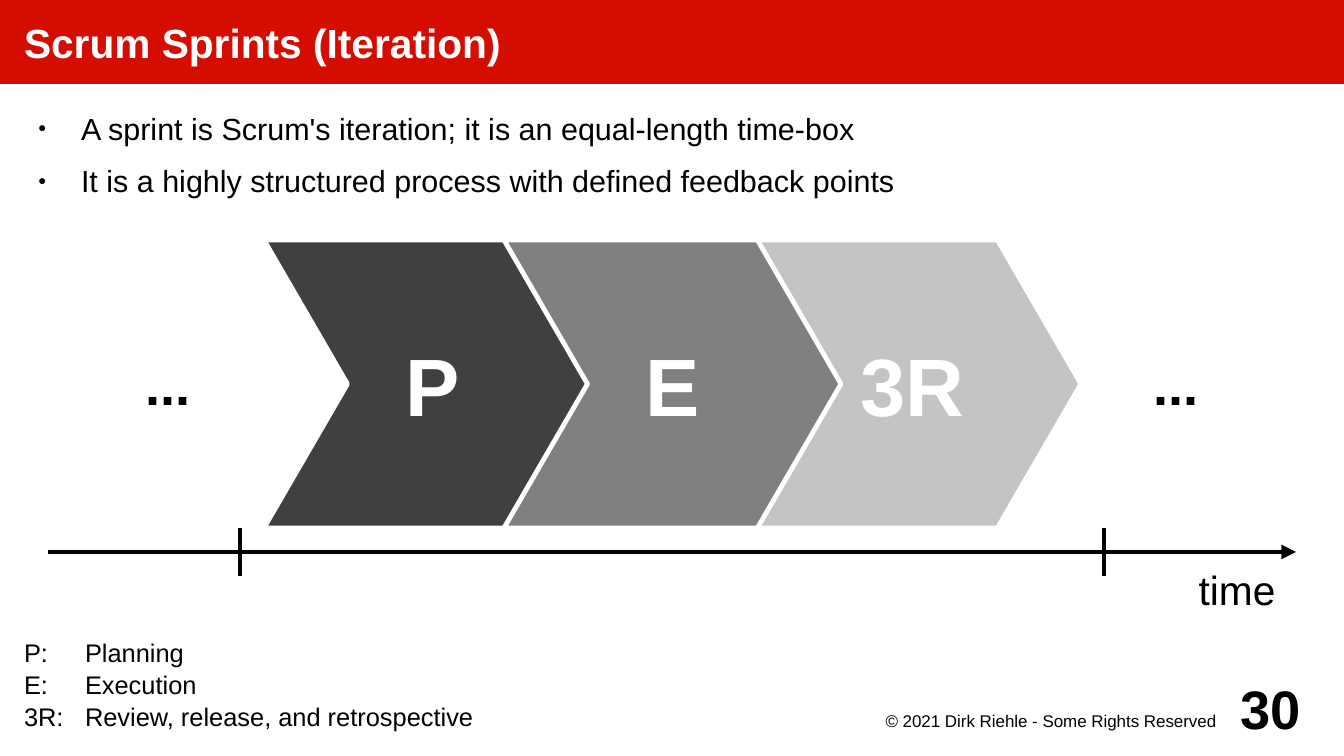
from dataclasses import dataclass, field
from typing import Any

from lxml import etree
from pptx import Presentation
from pptx.dml.color import RGBColor
from pptx.enum.shapes import MSO_CONNECTOR, MSO_SHAPE
from pptx.enum.text import MSO_ANCHOR, MSO_AUTO_SIZE, PP_ALIGN
from pptx.oxml.ns import qn
from pptx.util import Pt

LEFT, CENTER, RIGHT = PP_ALIGN.LEFT, PP_ALIGN.CENTER, PP_ALIGN.RIGHT
TOP, MIDDLE, BOTTOM = MSO_ANCHOR.TOP, MSO_ANCHOR.MIDDLE, MSO_ANCHOR.BOTTOM
NO_FIT = MSO_AUTO_SIZE.NONE
CHEVRON = MSO_SHAPE.CHEVRON
STRAIGHT = MSO_CONNECTOR.STRAIGHT

EMU_PER_PX = 7495
FONT = "Arial"
BLACK, WHITE, RED = "000000", "FFFFFF", "D50D01"
SPRINT_TOP, SPRINT_HEIGHT = 240, 288
PHASE_LEFT, PHASE_STEP, PHASE_WIDTH = 264, 240, 337
AXIS_Y, TICK_HALF = 552, 24


@dataclass
class Style:
    size: int
    color: str = BLACK
    bold: bool = False
    align: Any = LEFT
    anchor: Any = MIDDLE
    inset: tuple[int, int, int, int] = (10, 10, 10, 10)
    wrap: bool = True
    paragraph: dict[str, Any] = field(default_factory=dict)


@dataclass
class Label:
    box: tuple[int, int, int, int]
    lines: list[str]
    style: Style


@dataclass
class Phase:
    name: str
    slot: int
    fill: str


@dataclass
class Segment:
    start: tuple[int, int]
    end: tuple[int, int]
    arrow: bool = False


TITLE = Label((0, 0, 1344, 84), ["Scrum Sprints (Iteration)"],
              Style(24, WHITE, True, inset=(24, 0, 0, 0)))
BODY = Label(
    (24, 108, 1296, 552),
    ["A sprint is Scrum's iteration; it is an equal-length time-box",
     "It is a highly structured process with defined feedback points"],
    Style(18, anchor=TOP, inset=(0, 0, 0, 0),
          paragraph={"line_spacing": 1.05, "space_after": Pt(4.2)}))

PHASE_STYLE = Style(48, WHITE, True, CENTER, wrap=False)
DOTS_STYLE = Style(32, bold=True, align=CENTER)
PHASES = [Phase("P", 0, "404040"), Phase("3R", 2, "C4C4C4"), Phase("E", 1, "808080")]

LABELS = [
    Label((0, 516, 960, 240),
          ["P:\tPlanning", "E:\tExecution", "3R:\tReview, release, and retrospective"],
          Style(15, anchor=BOTTOM, inset=(24, 24, 24, 24),
                paragraph={"line_spacing": 1.05})),
    *[Label((x, SPRINT_TOP, 240, SPRINT_HEIGHT), ["..."], DOTS_STYLE) for x in (48, 1056)],
    Label((1178, 554, 118, 71), ["time"], Style(24, align=CENTER)),
    Label((865, 709, 361, 37), ["© 2021 Dirk Riehle - Some Rights Reserved"],
          Style(10, align=RIGHT, anchor=TOP, inset=(0, 2, 10, 0))),
    Label((1205, 672, 96, 72), ["30"],
          Style(32, bold=True, align=RIGHT, inset=(0, 0, 0, 0))),
]
SEGMENTS = [
    Segment((48, AXIS_Y), (1296, AXIS_Y), arrow=True),
    *[Segment((x, AXIS_Y - TICK_HALF), (x, AXIS_Y + TICK_HALF)) for x in (240, 1104)],
]


def px(*values: int) -> list[int]:
    return [value * EMU_PER_PX for value in values]


def rgb(value: str) -> RGBColor:
    return RGBColor.from_string(value)


def apply(target: Any, formats: dict[str, Any]) -> None:
    for name, value in formats.items():
        setattr(target, name, value)


def write(s: Any, lines: list[str], style: Style) -> None:
    tf = s.text_frame
    sides = ("margin_left", "margin_top", "margin_right", "margin_bottom")
    apply(tf, {"auto_size": NO_FIT, "word_wrap": style.wrap,
               "vertical_anchor": style.anchor, **dict(zip(sides, px(*style.inset)))})
    for i, line in enumerate(lines):
        p = tf.add_paragraph() if i else tf.paragraphs[0]
        apply(p, {"alignment": style.align, "space_before": Pt(0), **style.paragraph})
        r = p.add_run()
        r.text = line
        apply(r.font, {"name": FONT, "size": Pt(style.size), "bold": style.bold})
        r.font.color.rgb = rgb(style.color)


def place(s: Any, box: tuple[int, int, int, int]) -> None:
    apply(s, dict(zip(("left", "top", "width", "height"), px(*box))))


def add_bullet(p: Any) -> None:
    pPr = p._p.get_or_add_pPr()
    indent, hanging = px(57, -43)
    pPr.set("marL", str(indent))
    pPr.set("indent", str(hanging))
    color = etree.SubElement(pPr, qn("a:buClr"))
    etree.SubElement(color, qn("a:srgbClr"), val=BLACK)
    etree.SubElement(pPr, qn("a:buSzPct"), val="45000")
    etree.SubElement(pPr, qn("a:buFont"), typeface=FONT)
    etree.SubElement(pPr, qn("a:buChar"), char="●")


def fill_placeholders(slide: Any) -> None:
    for s, label in zip(slide.placeholders, (TITLE, BODY)):
        place(s, label.box)
        write(s, label.lines, label.style)
    title, body = slide.placeholders
    title.fill.solid()
    title.fill.fore_color.rgb = rgb(RED)
    for i, p in enumerate(body.text_frame.paragraphs):
        add_bullet(p)
        p.space_before = Pt(4.2 if i else 0)


def add_label(slide: Any, label: Label) -> None:
    s = slide.shapes.add_textbox(*px(*label.box))
    write(s, label.lines, label.style)


def add_phase(slide: Any, phase: Phase) -> None:
    left = PHASE_LEFT + phase.slot * PHASE_STEP
    s = slide.shapes.add_shape(CHEVRON, *px(left, SPRINT_TOP, PHASE_WIDTH, SPRINT_HEIGHT))
    s.adjustments[0] = 0.29
    s.shadow.inherit = False
    s.fill.solid()
    s.fill.fore_color.rgb = rgb(phase.fill)
    s.line.color.rgb = rgb(WHITE)
    s.line.width = Pt(2.83)
    write(s, [phase.name], PHASE_STYLE)


def add_segment(slide: Any, segment: Segment) -> None:
    s = slide.shapes.add_connector(STRAIGHT, *px(*segment.start, *segment.end))
    s.line.color.rgb = rgb(BLACK)
    s.line.width = Pt(2.89)
    if segment.arrow:
        etree.SubElement(s.line._get_or_add_ln(), qn("a:tailEnd"), type="triangle")
    etree.SubElement(s._element.spPr, qn("a:effectLst"))


def main() -> None:
    prs = Presentation()
    prs.slide_width, prs.slide_height = px(1344, 756)
    slide = prs.slides.add_slide(prs.slide_layouts[1])
    fill_placeholders(slide)
    for phase in PHASES:
        add_phase(slide, phase)
    for segment in SEGMENTS:
        add_segment(slide, segment)
    for label in LABELS:
        add_label(slide, label)
    prs.save("out.pptx")


if __name__ == "__main__":
    main()
